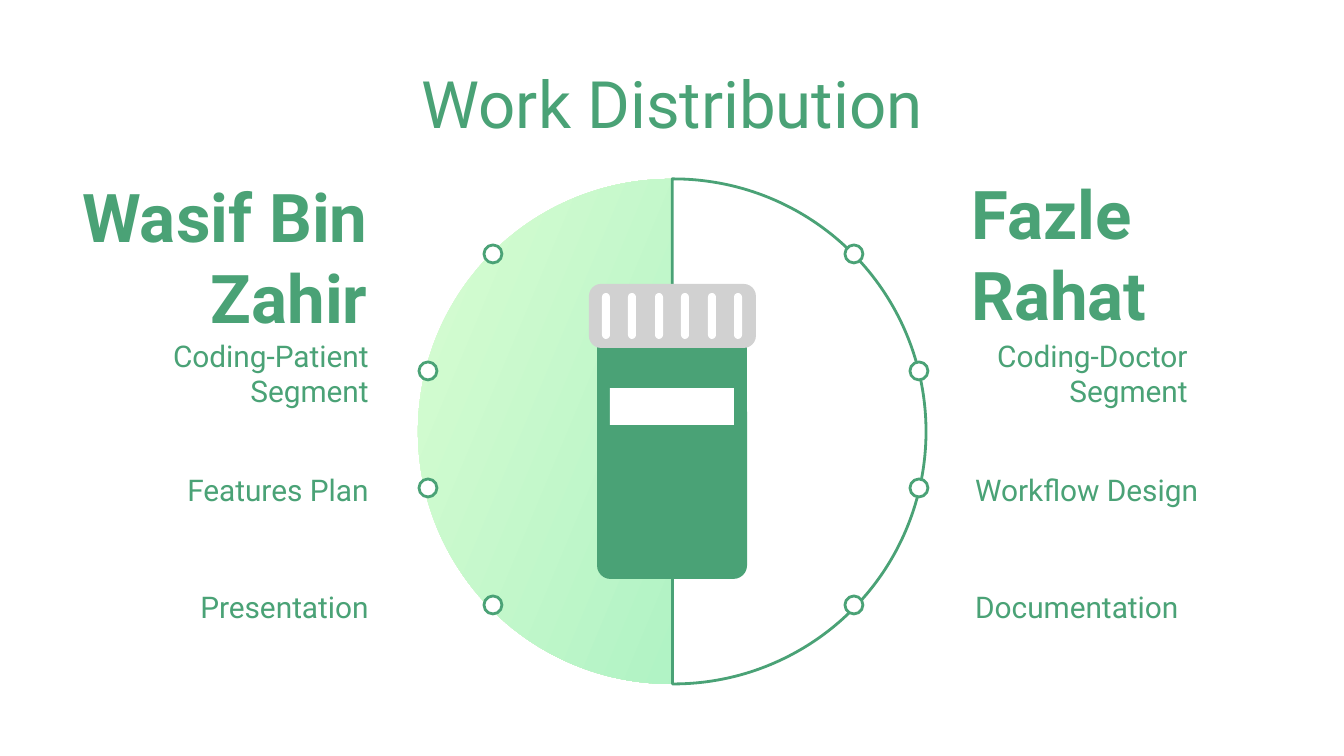
from pptx import Presentation
from pptx.dml.color import RGBColor
from pptx.enum.shapes import MSO_SHAPE
from pptx.enum.text import MSO_ANCHOR, MSO_AUTO_SIZE, PP_ALIGN
from pptx.util import Inches, Pt

GREEN = RGBColor(0x4A, 0xA2, 0x76)
PALE_GREEN = RGBColor(0xE3, 0xFF, 0xD5)
MINT = RGBColor(0x90, 0xEB, 0xBA)
GREY = RGBColor(0xD1, 0xD1, 0xD1)
WHITE = RGBColor(0xFF, 0xFF, 0xFF)

CHORD = MSO_SHAPE.CHORD
OVAL = MSO_SHAPE.OVAL
RECTANGLE = MSO_SHAPE.RECTANGLE
ROUNDED = MSO_SHAPE.ROUNDED_RECTANGLE
MIDDLE = MSO_ANCHOR.MIDDLE
NO_FIT = MSO_AUTO_SIZE.NONE
LEFT, CENTER, RIGHT = PP_ALIGN.LEFT, PP_ALIGN.CENTER, PP_ALIGN.RIGHT

COMPARISON_LAYOUT = 4
ROW_STEP = 117


def px(length):
    return round(length * 914400 / 134.4)


class SlideBuilder:
    font = "Roboto"
    color = GREEN
    line_width = Pt(1.5)
    inset = Inches(0.1)

    def __init__(self, page):
        self.page = page
        self.shapes = page.shapes

    def start_group(self):
        self.shapes = self.page.shapes.add_group_shape().shapes

    def shape(self, kind, left, top, width, height, fill=None, outlined=False, adjustments=()):
        shape = self.shapes.add_shape(kind, px(left), px(top), px(width), px(height))
        shape.shadow.inherit = False
        for index, value in enumerate(adjustments):
            shape.adjustments[index] = value
        if fill is None:
            shape.fill.background()
        else:
            shape.fill.solid()
            shape.fill.fore_color.rgb = fill
        if outlined:
            shape.line.color.rgb = self.color
            shape.line.width = self.line_width
        else:
            shape.line.fill.background()
        return shape

    def half_circle(self, left, rotation, outlined=False):
        half = self.shape(CHORD, left, 179, 505, 505, None, outlined, (40.3, 148.61))
        half.rotation = rotation
        return half

    def label(self, box, text, left, top, width, height, size, align, bold=False):
        box.left, box.top, box.width, box.height = px(left), px(top), px(width), px(height)
        frame = box.text_frame
        frame.text = text
        frame.word_wrap = True
        frame.auto_size = NO_FIT
        frame.vertical_anchor = MIDDLE
        frame.margin_left = frame.margin_right = self.inset
        frame.margin_top = frame.margin_bottom = self.inset
        para = frame.paragraphs[0]
        para.alignment = align
        para.space_before = Pt(0)
        font = para.runs[0].font
        font.name, font.size, font.bold = self.font, Pt(size), bold
        font.color.rgb = self.color

    def task(self, text, left, row, align):
        box = self.page.shapes.add_textbox(0, 0, 0, 0)
        self.label(box, text, left, 336 + ROW_STEP * row, 276, 74, 16, align)


deck = Presentation()
deck.slide_width, deck.slide_height = px(1344), px(756)
page = deck.slides.add_slide(deck.slide_layouts[COMPARISON_LAYOUT])
builder = SlideBuilder(page)

holders = {holder.placeholder_format.idx: holder for holder in page.placeholders}
for index in (2, 4):
    element = holders[index].element
    element.getparent().remove(element)

builder.label(holders[0], "Work Distribution", 106, 79, 1133, 47, 35, CENTER)
builder.label(holders[1], "Wasif Bin Zahir", 13, 219, 368, 74, 36, RIGHT, True)
builder.label(holders[3], "Fazle Rahat", 958, 216, 370, 74, 36, LEFT, True)

left_half = builder.half_circle(418, 22.6)
left_half.fill.gradient()
left_half.fill.gradient_angle = 0
for stop, color in zip(left_half.fill.gradient_stops, (PALE_GREEN, MINT)):
    stop.color.rgb = color
right_half = builder.half_circle(421, 337.4, outlined=True)
right_half.element.spPr.xfrm.set("flipH", "1")

for row, (left, right) in enumerate([(484, 845), (419, 910), (419, 910), (484, 845)]):
    for dot_left in (left, right):
        builder.shape(OVAL, dot_left, 245 + ROW_STEP * row, 18, 18, WHITE, True)

for row, text in enumerate(["Coding-Patient Segment", "Features Plan", "Presentation"]):
    builder.task(text, 106, row, RIGHT)
builder.task("Coding-Doctor Segment", 925, 0, RIGHT)
for row, text in enumerate(["Workflow Design", "Documentation"], 1):
    builder.task(text, 962, row, LEFT)

builder.start_group()
builder.shape(ROUNDED, 597, 290, 150, 289, GREEN, adjustments=(0.09,))
builder.shape(ROUNDED, 589, 284, 167, 64, GREY, adjustments=(0.19,))
for slot in range(6):
    builder.shape(ROUNDED, round(602 + 26.4 * slot), 293, 8, 46, WHITE, adjustments=(0.5,))
builder.shape(RECTANGLE, 610, 388, 124, 37, WHITE)

deck.save("out.pptx")
